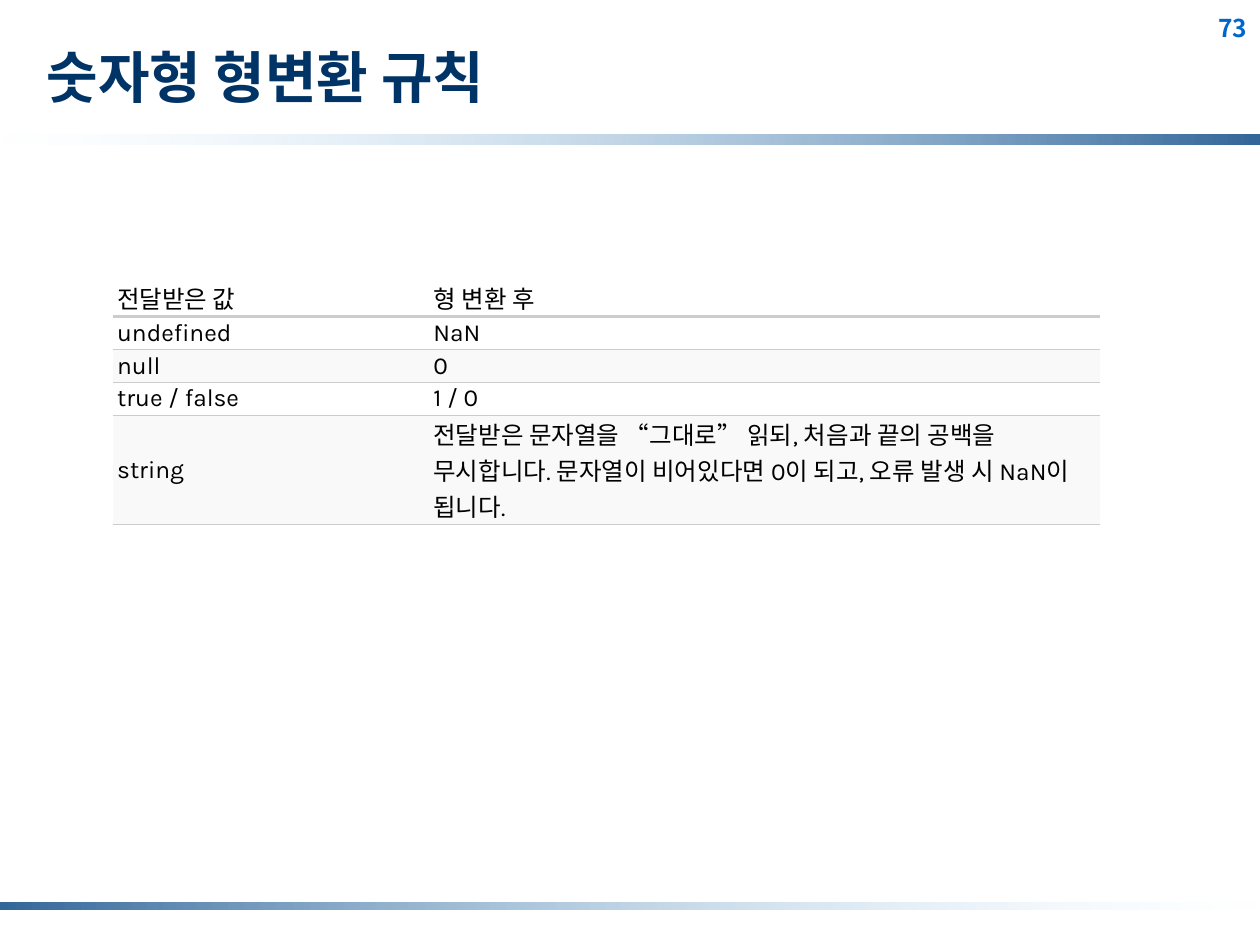
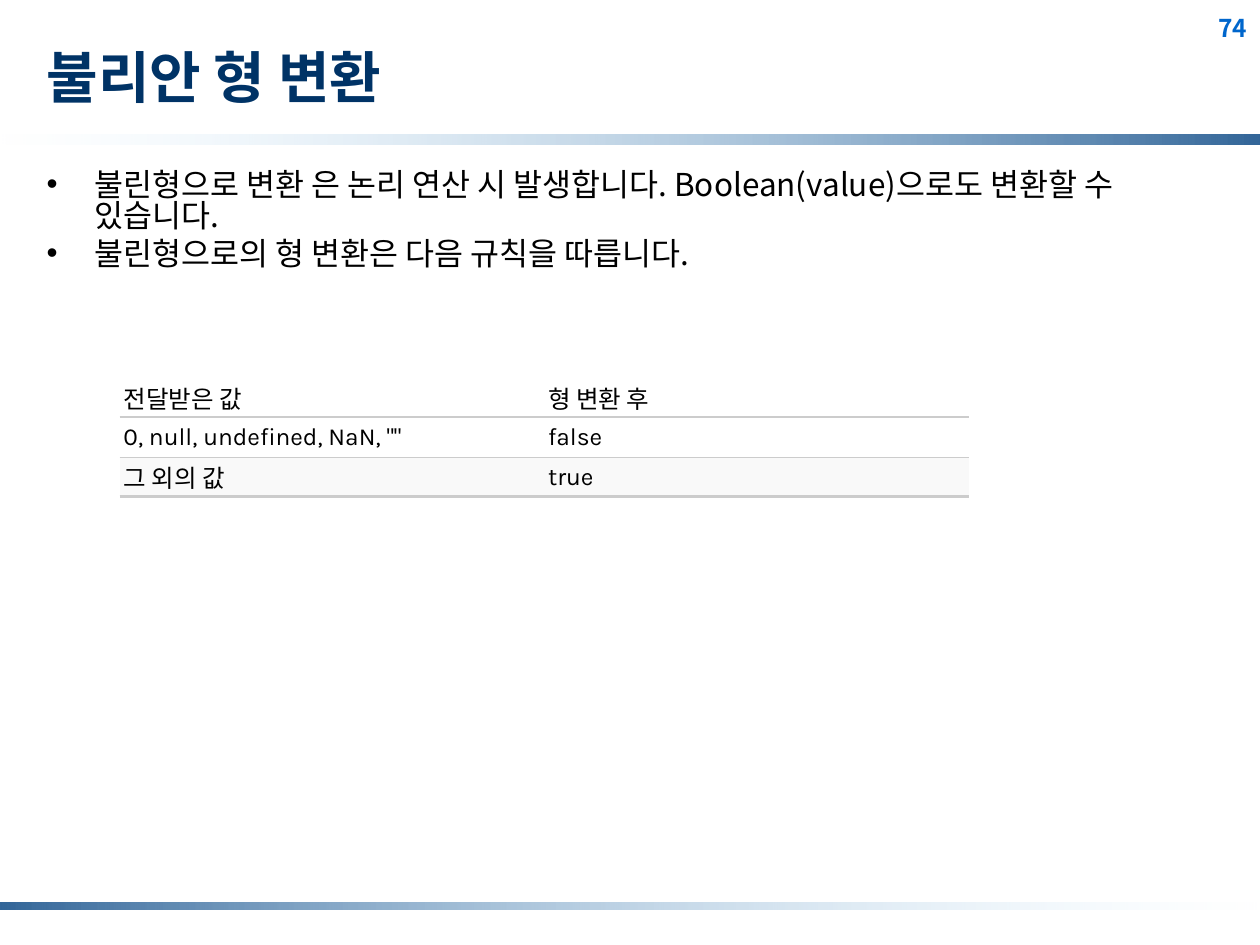
"""Build two slides on JavaScript type conversion rules."""
from lxml import etree
from pptx import Presentation
from pptx.dml.color import RGBColor
from pptx.enum.shapes import MSO_SHAPE
from pptx.enum.text import MSO_ANCHOR, MSO_AUTO_SIZE, PP_ALIGN
from pptx.oxml.ns import qn
from pptx.util import Inches, Pt

RECTANGLE = MSO_SHAPE.RECTANGLE
LEFT = PP_ALIGN.LEFT
TOP, MIDDLE, BOTTOM = MSO_ANCHOR.TOP, MSO_ANCHOR.MIDDLE, MSO_ANCHOR.BOTTOM
NO_AUTOFIT = MSO_AUTO_SIZE.NONE

LATIN, KOREAN = "Karla", "Noto Sans CJK KR"
BLACK, WHITE, STRIPE, RULE = "000000", "FFFFFF", "F9F9F9", "CCCCCC"
DARK_BLUE, LIGHT_BLUE = "336699", "CCECFF"
THICK, THIN = 1.8, 0.75

TITLE_STYLE = {"name": LATIN, "size": Pt(32), "bold": True, "color": "003366"}
NUMBER_STYLE = {"name": KOREAN, "size": Pt(14), "bold": True, "color": "0066CC"}
BODY_STYLE = {"name": KOREAN, "size": Pt(18), "bold": False, "color": BLACK}
CELL_STYLE = {"name": LATIN, "size": Pt(14), "bold": False, "color": BLACK}

TITLE_AREA = (2.7, 1.73, 92.1, 12.67)
BODY_AREA = (2.7, 17.47, 94.5, 76.67)
NUMBER_AREA = (95.7, 0.67, 4.7, 4.93)
BANDS = [
    ((0, 14.27, 100, 1.07), (LIGHT_BLUE, DARK_BLUE)),
    ((0, 95.47, 100, 0.75), (DARK_BLUE, LIGHT_BLUE)),
]
CELL_MARGINS = {
    "margin_left": Inches(0.03),
    "margin_right": Inches(0.07),
    "margin_top": Inches(0.01),
    "margin_bottom": Inches(0.01),
}

SLIDES = [
    {
        "number": "73",
        "title": "숫자형 형변환 규칙",
        "layout": 5,
        "bullets": [],
        "corner": (9, 29.47),
        "columns": [25.1, 53.2],
        "rows": [3.47, 3.47, 3.47, 3.47, 9.73],
        "last_rule": THIN,
        "cells": [
            ("전달받은 값", "형 변환 후"),
            ("undefined", "NaN"),
            ("null", "0"),
            ("true / false", "1 / 0"),
            ("string", "전달받은 문자열을 “그대로” 읽되, 처음과 끝의 공백을 무시합니다. "
                       "문자열이 비어있다면 0이 되고, 오류 발생 시 NaN이 됩니다."),
        ],
    },
    {
        "number": "74",
        "title": "불리안 형 변환",
        "layout": 1,
        "bullets": [
            "불린형으로 변환 은 논리 연산 시 발생합니다. Boolean(value)으로도 변환할 수 있습니다.",
            "불린형으로의 형 변환은 다음 규칙을 따릅니다.",
        ],
        "corner": (9.5, 40),
        "columns": [33.7, 33.7],
        "rows": [4.13, 4.27, 4.13],
        "last_rule": THICK,
        "cells": [
            ("전달받은 값", "형 변환 후"),
            ('0, null, undefined, NaN, ""', "false"),
            ("그 외의 값", "true"),
        ],
    },
]

presentation = Presentation()
presentation.slide_width, presentation.slide_height = Inches(10), Inches(7.5)


def color(value):
    """Turn a hex string into a colour."""
    return RGBColor.from_string(value)


def area(left, top, width, height):
    """Turn percentages of the slide into lengths."""
    across, down = presentation.slide_width / 100, presentation.slide_height / 100
    return [round(length) for length in (left * across, top * down, width * across, height * down)]


for content in SLIDES:
    slide = presentation.slides.add_slide(presentation.slide_layouts[content["layout"]])
    shapes = slide.shapes
    styled = []

    for band_area, band_colors in BANDS:
        band = shapes.add_shape(RECTANGLE, *area(*band_area))
        band.shadow.inherit = False
        band.line.fill.background()
        band.fill.gradient()
        band.fill.gradient_angle = 0
        for stop, stop_color in zip(band.fill.gradient_stops, band_colors):
            stop.color.rgb = color(stop_color)
        for stop_color in band._element.iter(qn("a:srgbClr")):
            if stop_color.get("val") == LIGHT_BLUE:
                etree.SubElement(stop_color, qn("a:alpha"), val="0")

    number = shapes.add_textbox(*area(*NUMBER_AREA))
    frames = [
        (number, NUMBER_AREA, TOP, [content["number"]], NUMBER_STYLE),
        (shapes.title, TITLE_AREA, MIDDLE, [content["title"]], TITLE_STYLE),
    ]
    if content["bullets"]:
        frames.append((slide.placeholders[1], BODY_AREA, TOP, content["bullets"], BODY_STYLE))

    for shape, place, anchor, lines, style in frames:
        shape.left, shape.top, shape.width, shape.height = area(*place)
        frame = shape.text_frame
        frame.text = "\n".join(lines)
        frame.word_wrap = True
        frame.auto_size = NO_AUTOFIT
        frame.vertical_anchor = anchor
        for index, paragraph in enumerate(frame.paragraphs):
            paragraph.alignment = LEFT
            paragraph.space_before = Pt(3.6 if index else 0)
            if style is BODY_STYLE:
                paragraph.line_spacing = 0.83
                properties = paragraph._p.get_or_add_pPr()
                properties.set("marL", str(Inches(0.38)))
                properties.set("indent", str(-Inches(0.38)))
                bullet_color = etree.SubElement(properties, qn("a:buClr"))
                etree.SubElement(bullet_color, qn("a:srgbClr"), val=BLACK)
                etree.SubElement(properties, qn("a:buFont"), typeface="Arial")
                etree.SubElement(properties, qn("a:buChar"), char="•")
            styled.append((paragraph, style))

    columns, rows = content["columns"], content["rows"]
    table_area = area(*content["corner"], sum(columns), sum(rows))
    table = shapes.add_table(len(rows), len(columns), *table_area).table
    table.first_row = table.horz_banding = False
    for column, share in zip(table.columns, columns):
        column.width = area(0, 0, share, 0)[2]
    for row, share in zip(table.rows, rows):
        row.height = area(0, 0, 0, share)[3]

    rules = [0, THICK] + [THIN] * (len(rows) - 2) + [content["last_rule"]]
    for row_index, texts in enumerate(content["cells"]):
        for column_index, text in enumerate(texts):
            cell = table.cell(row_index, column_index)
            cell.text = text
            cell.vertical_anchor = MIDDLE if row_index else BOTTOM
            for name, margin in CELL_MARGINS.items():
                setattr(cell, name, margin)
            properties = cell._tc.get_or_add_tcPr()
            borders = {"L": 0, "R": 0, "T": rules[row_index], "B": rules[row_index + 1]}
            for side, width in borders.items():
                border = etree.SubElement(properties, qn(f"a:ln{side}"), w=str(Pt(width)))
                if width:
                    border_fill = etree.SubElement(border, qn("a:solidFill"))
                    etree.SubElement(border_fill, qn("a:srgbClr"), val=RULE)
                else:
                    etree.SubElement(border, qn("a:noFill"))
            striped = row_index and row_index % 2 == 0
            cell.fill.solid()
            cell.fill.fore_color.rgb = color(STRIPE if striped else WHITE)
            styled.append((cell.text_frame.paragraphs[0], CELL_STYLE))

    for paragraph, style in styled:
        for run in paragraph.runs:
            for name, value in style.items():
                if name == "color":
                    run.font.color.rgb = color(value)
                else:
                    setattr(run.font, name, value)
            latin = run._r.rPr.find(qn("a:latin"))
            east_asian = etree.Element(qn("a:ea"), typeface=KOREAN)
            latin.addnext(east_asian)

presentation.save("out.pptx")
